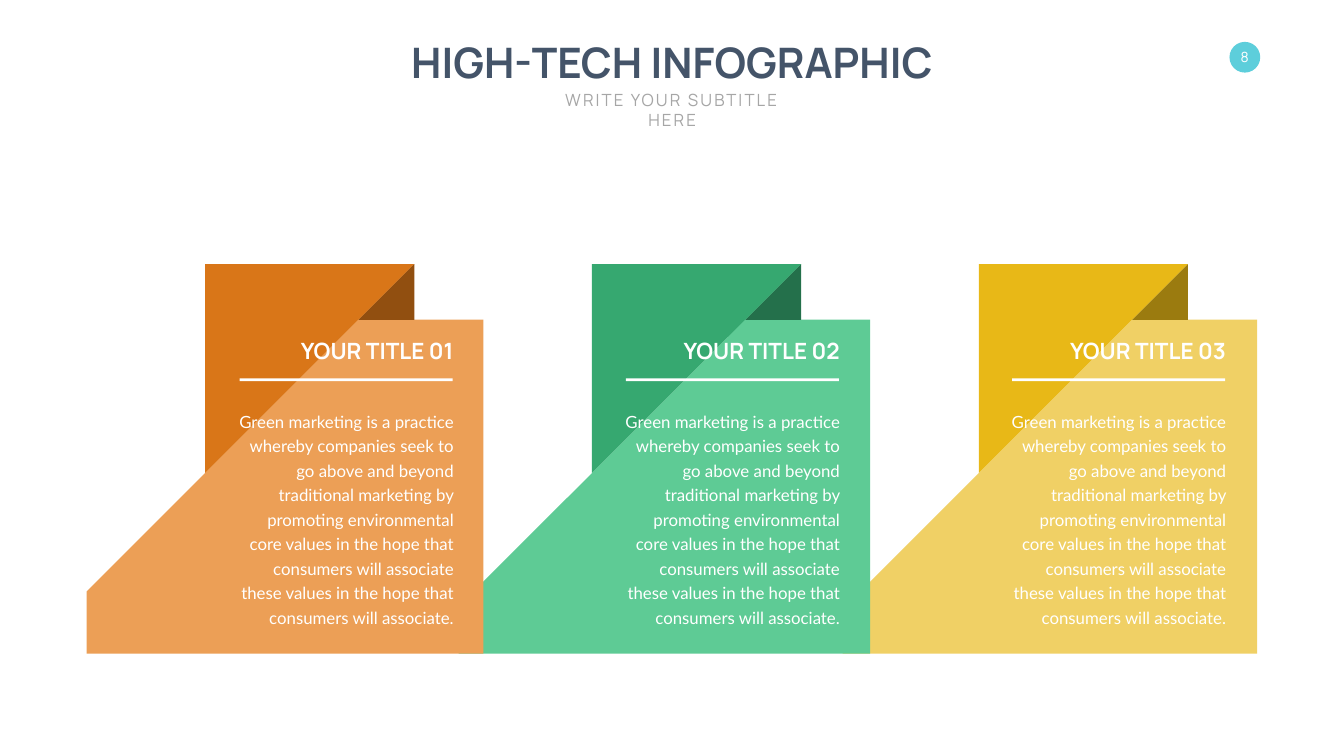
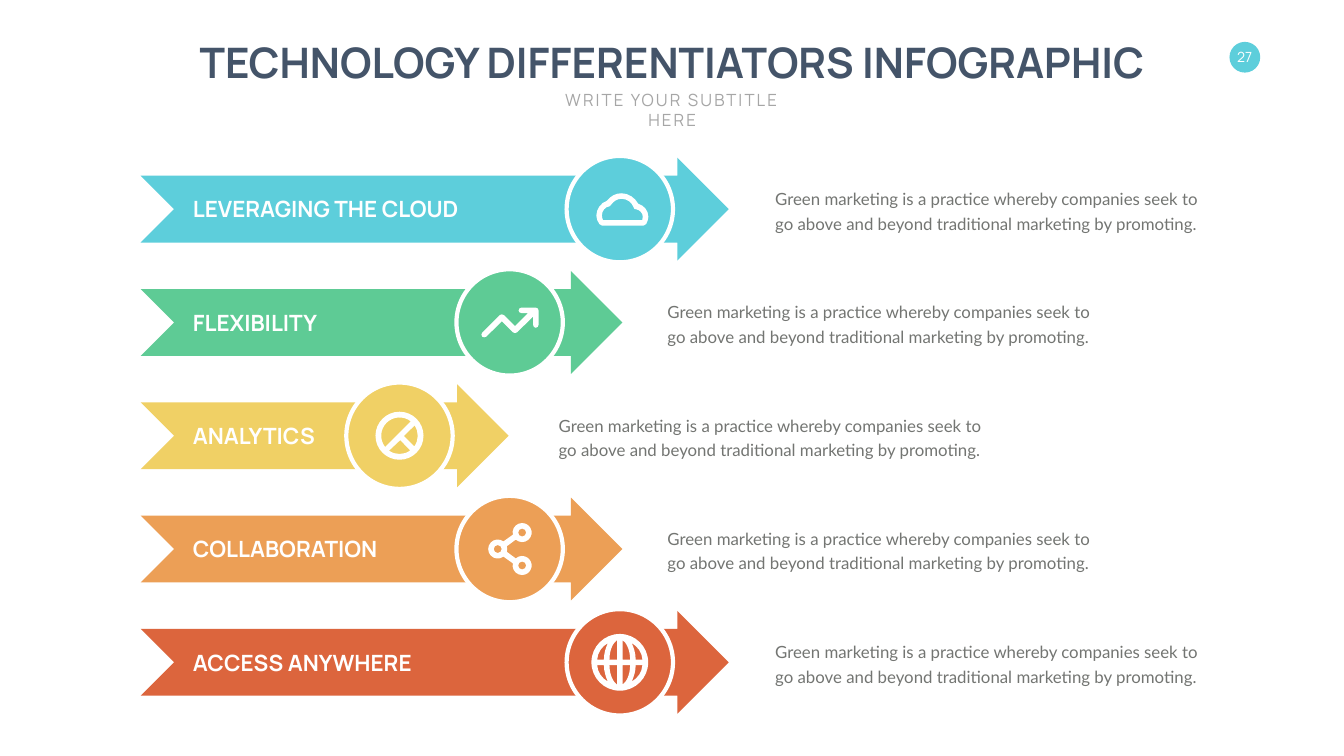
from math import ceil, cos, radians, sin, tan

from lxml.etree import SubElement
from pptx import Presentation
from pptx.dml.color import RGBColor
from pptx.enum.shapes import MSO_SHAPE
from pptx.enum.text import MSO_ANCHOR, MSO_AUTO_SIZE, PP_ALIGN
from pptx.oxml.ns import qn
from pptx.util import Cm, Pt

WHITE = RGBColor(0xFF, 0xFF, 0xFF)
NAVY = RGBColor(0x44, 0x54, 0x69)
LIGHT_GRAY = RGBColor(0xA6, 0xA6, 0xA6)
TEXT_GRAY = RGBColor(0x73, 0x75, 0x72)
CYAN = RGBColor(0x5D, 0xCE, 0xDB)
GREEN = RGBColor(0x5E, 0xCB, 0x95)
MID_GREEN = RGBColor(0x36, 0xA8, 0x70)
DARK_GREEN = RGBColor(0x24, 0x70, 0x4B)
YELLOW = RGBColor(0xF0, 0xD0, 0x65)
MID_YELLOW = RGBColor(0xE8, 0xB8, 0x17)
DARK_YELLOW = RGBColor(0x9B, 0x7B, 0x0F)
ORANGE = RGBColor(0xEC, 0x9F, 0x56)
MID_ORANGE = RGBColor(0xD9, 0x76, 0x18)
DARK_ORANGE = RGBColor(0x91, 0x4F, 0x10)
RED = RGBColor(0xDC, 0x65, 0x3D)

HEADING_FONT = "Manrope"
BODY_FONT = "Lato"
SLIDE_WIDTH = 67.72
SLIDE_HEIGHT = 38.1

SUBTITLE = "WRITE YOUR SUBTITLE HERE"
CARD_TEXT = (
    "Green marketing is a practice whereby companies seek to go above and beyond "
    "traditional marketing by promoting environmental core values in the hope that "
    "consumers will associate these values in the hope that consumers will associate."
)
ROW_TEXT = (
    "Green marketing is a practice whereby companies seek to go above and beyond "
    "traditional marketing by promoting."
)

CARDS = [
    ("YOUR TITLE 01", ORANGE, MID_ORANGE, DARK_ORANGE, 5.97),
    ("YOUR TITLE 02", GREEN, MID_GREEN, DARK_GREEN, 6.72),
    ("YOUR TITLE 03", YELLOW, MID_YELLOW, DARK_YELLOW, 6.86),
]
CARD_LEFT, CARD_STEP = 10.34, 19.49
TEXT_LEFT, TEXT_STEP = 11.43, 19.46
FOLD_TOP, FOLD_SIDE, FOLD_DEPTH = 13.31, 10.54, 2.81
PANEL_TOP, PANEL_BOTTOM, PANEL_REACH = 16.11, 32.94, 14.02

LONG = {"arrow": 29.63, "circle": 28.55, "text": 38.81}
MEDIUM = {"arrow": 24.27, "circle": 23, "text": 33.38}
SHORT = {"arrow": 18.54, "circle": 17.45, "text": 27.9}
ROWS = [
    ("LEVERAGING THE CLOUD", 14.17, CYAN, LONG, "cloud"),
    ("FLEXIBILITY", 6.86, GREEN, MEDIUM, "trend"),
    ("ANALYTICS", 6.93, YELLOW, SHORT, "pie"),
    ("COLLABORATION", 10.21, ORANGE, MEDIUM, "share"),
    ("ACCESS ANYWHERE", 11.81, RED, LONG, "globe"),
]
ROW_TOP, ROW_STEP, ARROW_LEFT, ARROW_HEIGHT = 7.95, 5.71, 7.09, 5.18
CIRCLE_SIZE = 5.36

CLOUD_OUTER = [
    (1.2, 0.83), (-0.9, 0.83), (-0.95, 0.83, -1, 0.8, -1.03, 0.75),
    (-1.13, 0.62, -1.18, 0.47, -1.18, 0.32),
    (-1.18, -0.01, -0.95, -0.32, -0.65, -0.42),
    (-0.47, -0.65, -0.22, -0.8, 0.09, -0.8),
    (0.44, -0.8, 0.77, -0.57, 0.93, -0.27),
    (1.21, -0.19, 1.44, 0.06, 1.44, 0.39),
    (1.44, 0.52, 1.38, 0.65, 1.33, 0.75), (1.31, 0.8, 1.26, 0.83, 1.2, 0.83),
]
CLOUD_INNER = [
    (-0.85, 0.55), (1.13, 0.55), (1.13, 0.47, 1.16, 0.44, 1.16, 0.39),
    (1.16, 0.19, 1, 0.04, 0.83, 0.01), (0.75, 0.01, 0.7, -0.01, 0.7, -0.09),
    (0.6, -0.34, 0.37, -0.52, 0.09, -0.52),
    (-0.14, -0.52, -0.32, -0.39, -0.44, -0.22),
    (-0.47, -0.17, -0.5, -0.17, -0.52, -0.14),
    (-0.75, -0.11, -0.9, 0.09, -0.9, 0.32),
    (-0.9, 0.39, -0.88, 0.47, -0.85, 0.55),
]
TREND_LINE = [
    (0.6, -0.75), (1.31, -0.75), (1.39, -0.75, 1.46, -0.68, 1.46, -0.6),
    (1.46, 0.11), (1.46, 0.2, 1.39, 0.27, 1.31, 0.27),
    (1.24, 0.27, 1.18, 0.2, 1.18, 0.11), (1.18, -0.29), (0.37, 0.5),
    (0.32, 0.55, 0.22, 0.55, 0.17, 0.5), (-0.39, -0.06), (-1.18, 0.72),
    (-1.23, 0.76, -1.33, 0.76, -1.38, 0.72),
    (-1.44, 0.65, -1.44, 0.57, -1.38, 0.52), (-0.5, -0.37),
    (-0.44, -0.42, -0.36, -0.42, -0.29, -0.37), (0.27, 0.19), (0.93, -0.47),
    (0.6, -0.47), (0.52, -0.47, 0.45, -0.53, 0.45, -0.6),
    (0.45, -0.68, 0.52, -0.75, 0.6, -0.75),
]
GLOBE_WINDOWS = [
    [(0.14, 0.14), (0.52, 0.14), (0.52, 0.65, 0.32, 1, 0.14, 1.12)],
    [(0.8, 0.14), (1.14, 0.14), (1.12, 0.5, 0.9, 0.8, 0.6, 0.97),
     (0.7, 0.75, 0.8, 0.47, 0.8, 0.14)],
]


def arc(center_x, center_y, radius, start=0, end=360):
    def place(x, y):
        return center_x + radius * x, center_y + radius * y

    count = ceil((end - start) / 90)
    step = radians(end - start) / count
    pull = 4 / 3 * tan(step / 4)
    angle = radians(start)
    contour = [place(cos(angle), sin(angle))]
    for _ in range(count):
        following = angle + step
        contour.append(
            place(cos(angle) - pull * sin(angle), sin(angle) + pull * cos(angle))
            + place(cos(following) + pull * sin(following),
                    sin(following) - pull * cos(following))
            + place(cos(following), sin(following))
        )
        angle = following
    return contour


def mirror(contour, sign_x, sign_y):
    return [tuple(value * (sign_y if index % 2 else sign_x)
                  for index, value in enumerate(segment)) for segment in contour]


SHARE_NODES = [(-0.6, 0), (0.63, -0.83), (0.63, 0.83)]
SHARE_OUTLINE = (
    arc(*SHARE_NODES[0], 0.48, 53, 307) + arc(*SHARE_NODES[1], 0.48, 167, 492)
    + arc(*SHARE_NODES[0], 0.48, -17, 17) + arc(*SHARE_NODES[2], 0.48, -132, 193)
)
ICONS = {
    "cloud": [CLOUD_OUTER, CLOUD_INNER],
    "trend": [TREND_LINE],
    "pie": [
        arc(0, 0, 1.21),
        arc(0, 0, 0.92, 54, 125) + [(0.04, 0.22)],
        arc(0, 0, 0.92, 142, 308),
        arc(0, 0, 0.92, -34, 36) + [(0.22, 0.01)],
    ],
    "share": [SHARE_OUTLINE] + [arc(*node, 0.2) for node in SHARE_NODES],
    "globe": [arc(0, 0, 1.43)] + [
        mirror(window, sign_x, sign_y)
        for window in GLOBE_WINDOWS for sign_x in (-1, 1) for sign_y in (-1, 1)
    ],
}


def paint(shape, color, line_color=None, line_width=0):
    shape.shadow.inherit = False
    shape.fill.solid()
    shape.fill.fore_color.rgb = color
    if line_color is None:
        shape.line.fill.background()
    else:
        shape.line.color.rgb = line_color
        shape.line.width = Pt(line_width)


def add_preset(slide, kind, left, top, width, height, color, **line):
    shape = slide.shapes.add_shape(kind, Cm(left), Cm(top), Cm(width), Cm(height))
    paint(shape, color, **line)
    return shape


def bend_lines(shape, contours):
    lines = iter(list(shape._element.iter(qn("a:lnTo"))))
    for segment in (segment for contour in contours for segment in contour[1:]):
        group = [next(lines) for _ in range(len(segment) // 2)]
        if len(group) == 3:
            curve = SubElement(group[0].getparent(), qn("a:cubicBezTo"))
            group[0].addprevious(curve)
            for line in group:
                curve.append(line[0])
                line.getparent().remove(line)


def add_outline(slide, contours, color, left=0, top=0):
    builder = None
    for contour in contours:
        points = [(Cm(left + segment[i]), Cm(top + segment[i + 1]))
                  for segment in contour for i in range(0, len(segment), 2)]
        if builder is None:
            builder = slide.shapes.build_freeform(*points[0], scale=1.0)
        else:
            builder.move_to(*points[0])
        builder.add_line_segments(points[1:], close=True)
    shape = builder.convert_to_shape()
    bend_lines(shape, contours)
    paint(shape, color)


def write(shape, text, size, color, font=HEADING_FONT, bold=False,
          align=PP_ALIGN.LEFT, anchor=MSO_ANCHOR.TOP, wrap=False):
    frame = shape.text_frame
    frame.auto_size = MSO_AUTO_SIZE.NONE
    frame.word_wrap = wrap
    frame.vertical_anchor = anchor
    paragraph = frame.paragraphs[0]
    paragraph.alignment = align
    run = paragraph.add_run()
    run.text = text
    run.font.name = font
    run.font.size = Pt(size)
    run.font.bold = bold
    run.font.color.rgb = color
    return paragraph


def add_text(slide, box, *content, **style):
    shape = slide.shapes.add_textbox(*(Cm(length) for length in box))
    return shape, write(shape, *content, **style)


def start_slide(presentation, title, title_width, number):
    slide = presentation.slides.add_slide(presentation.slide_layouts[5])
    add_preset(slide, MSO_SHAPE.OVAL, 61.95, 2.11, 1.55, 1.55, CYAN)
    badge, _ = add_text(slide, (62.2, 2.46, 1.04, 0.86), number, 20, WHITE,
                        align=PP_ALIGN.CENTER, anchor=MSO_ANCHOR.MIDDLE)
    frame = badge.text_frame
    frame.margin_left = frame.margin_right = frame.margin_top = frame.margin_bottom = 0

    heading = slide.shapes.title
    heading.left, heading.top = Cm((SLIDE_WIDTH - title_width) / 2), Cm(1.7)
    heading.width, heading.height = Cm(title_width), Cm(2.82)
    write(heading, title, 60, NAVY, bold=True, align=PP_ALIGN.CENTER)

    subtitle, paragraph = add_text(slide, (26.97, 4.38, 13.8, 1.27), SUBTITLE, 24,
                                   LIGHT_GRAY, align=PP_ALIGN.CENTER, wrap=True)
    subtitle.text_frame.margin_left = subtitle.text_frame.margin_right = Cm(0.3)
    paragraph.runs[0].font._element.set("spc", "300")
    return slide


def add_card_shapes(slide, left, panel_color, fold_color, shade_color, overhang):
    right = left + FOLD_SIDE
    notch = right - FOLD_DEPTH
    panel_left = left - overhang
    panel_right = left + PANEL_REACH
    slant_end = PANEL_TOP + notch - panel_left
    shade_bottom = FOLD_TOP + FOLD_DEPTH
    add_outline(slide, [[(right, FOLD_TOP), (left, FOLD_TOP),
                         (left, FOLD_TOP + FOLD_SIDE)]], fold_color)
    add_outline(slide, [[(notch, PANEL_TOP), (panel_left, slant_end),
                         (panel_left, PANEL_BOTTOM), (panel_right, PANEL_BOTTOM),
                         (panel_right, PANEL_TOP)]], panel_color)
    add_outline(slide, [[(right, FOLD_TOP), (notch, shade_bottom),
                         (right, shade_bottom)]], shade_color)


def add_card_text(slide, left, title):
    add_preset(slide, MSO_SHAPE.RECTANGLE, left + 0.65, 19.07, 10.73, 0.14, WHITE)
    _, paragraph = add_text(slide, (left, 20.4, 11.68, 11.35), CARD_TEXT, 24,
                            WHITE, font=BODY_FONT, align=PP_ALIGN.RIGHT, wrap=True)
    paragraph.line_spacing = Pt(35)
    add_text(slide, (left + 3.28, 16.84, 8.4, 1.63), title, 32, WHITE, bold=True,
             align=PP_ALIGN.RIGHT, anchor=MSO_ANCHOR.BOTTOM)


def build_cards_slide(presentation):
    slide = start_slide(presentation, "HIGH-TECH INFOGRAPHIC", 28.07, "8")
    for index, card in reversed(list(enumerate(CARDS))):
        add_card_shapes(slide, CARD_LEFT + index * CARD_STEP, *card[1:])
    for index, card in enumerate(CARDS):
        add_card_text(slide, TEXT_LEFT + index * TEXT_STEP, card[0])


def build_arrows_slide(presentation):
    slide = start_slide(presentation, "TECHNOLOGY DIFFERENTIATORS INFOGRAPHIC", 49.45, "27")
    for index, (label, label_width, color, reach, icon) in enumerate(ROWS):
        top = ROW_TOP + index * ROW_STEP
        middle = top + ARROW_HEIGHT / 2
        arrow = add_preset(slide, MSO_SHAPE.NOTCHED_RIGHT_ARROW, ARROW_LEFT, top,
                           reach["arrow"], ARROW_HEIGHT, color)
        arrow.adjustments[0], arrow.adjustments[1] = 0.65, 0.5
        add_preset(slide, MSO_SHAPE.OVAL, reach["circle"], middle - CIRCLE_SIZE / 2,
                   CIRCLE_SIZE, CIRCLE_SIZE, color, line_color=WHITE, line_width=6)
        add_text(slide, (9.47, middle - 0.82, label_width, 1.63), label, 32, WHITE,
                 bold=True, anchor=MSO_ANCHOR.MIDDLE)
        add_outline(slide, ICONS[icon], WHITE, reach["circle"] + CIRCLE_SIZE / 2, middle)
        _, paragraph = add_text(slide, (reach["text"], middle - 1.32, 21.82, 2.62),
                                ROW_TEXT, 24, TEXT_GRAY, font=BODY_FONT,
                                anchor=MSO_ANCHOR.MIDDLE, wrap=True)
        paragraph.line_spacing = Pt(35)
        paragraph.space_before = Pt(5)


def main():
    presentation = Presentation()
    presentation.slide_width = Cm(SLIDE_WIDTH)
    presentation.slide_height = Cm(SLIDE_HEIGHT)
    build_cards_slide(presentation)
    build_arrows_slide(presentation)
    presentation.save("out.pptx")


if __name__ == "__main__":
    main()
